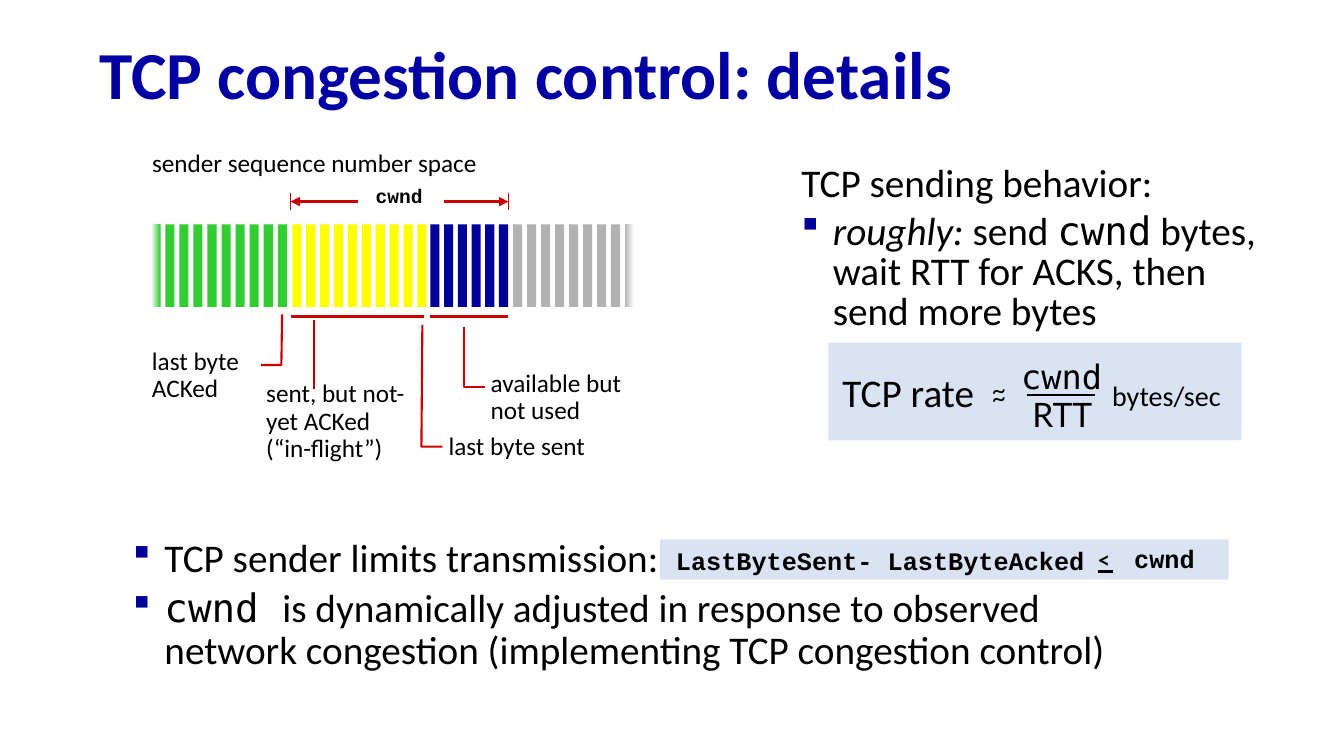
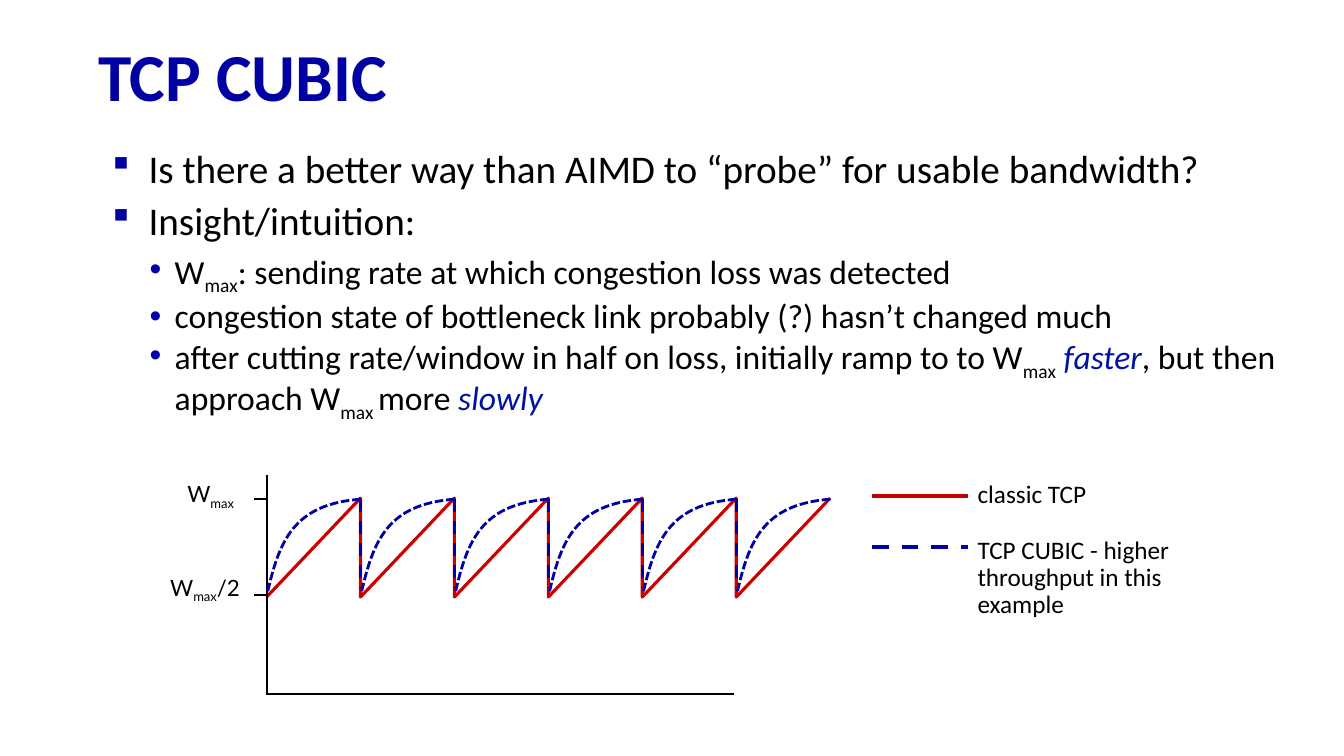
from dataclasses import dataclass, replace

from lxml.etree import SubElement
from pptx import Presentation
from pptx.dml.color import RGBColor
from pptx.enum.dml import MSO_LINE
from pptx.enum.shapes import MSO_CONNECTOR, MSO_SHAPE
from pptx.enum.text import MSO_ANCHOR, PP_ALIGN
from pptx.oxml.ns import qn
from pptx.util import Pt

BLACK = RGBColor(0x00, 0x00, 0x00)
WHITE = RGBColor(0xFF, 0xFF, 0xFF)
NAVY = RGBColor(0x00, 0x00, 0xA3)
DEEP_BLUE = RGBColor(0x00, 0x00, 0x99)
DOT_BLUE = RGBColor(0x00, 0x00, 0xA8)
EMPHASIS = RGBColor(0x00, 0x13, 0xA3)
PALE_BLUE = RGBColor(0xDA, 0xE3, 0xF3)
RED = RGBColor(0xCC, 0x00, 0x00)
DARK_RED = RGBColor(0xC0, 0x00, 0x00)
GREEN = RGBColor(0x33, 0xCC, 0x33)
YELLOW = RGBColor(0xFF, 0xFF, 0x00)
GRAY = RGBColor(0xB2, 0xB2, 0xB2)


@dataclass(frozen=True)
class Look:
    size: float = 18
    font: str = "Calibri"
    color: RGBColor = BLACK
    bold: bool = False
    italic: bool = False
    subscript: bool = False


@dataclass(frozen=True)
class Bullet:
    char: str
    font: str
    margin: float
    hang: float
    color: RGBColor


@dataclass(frozen=True)
class Item:
    """A paragraph; each run is a string or a (string, look changes) pair."""
    runs: tuple
    bullet: Bullet = None
    before: float = 0
    size: float = 28


TITLE = Look(48, color=NAVY, bold=True)
LABEL = Look()
BODY = Look(28)
CODE = Look(font="Courier New", bold=True)
AXIS = Look(16, "Lato")

MONO = {"font": "DejaVu Sans Mono"}
SUB = {"subscript": True}
STRESS = {"italic": True, "color": EMPHASIS}

# Wingdings draws the section sign as a small square.
SQUARE = Bullet("§", "Wingdings", 22.5, 22.5, DEEP_BLUE)
WIDE_SQUARE = Bullet("§", "Wingdings", 36, 26, NAVY)
DOT = Bullet("•", "Arial", 54.7, 18, DOT_BLUE)


class Deck:
    def __init__(self):
        self.prs = Presentation()
        self.prs.slide_width, self.prs.slide_height = Pt(960), Pt(540)
        self.shapes = None

    def new_slide(self, title, left, top):
        self.shapes = self.prs.slides.add_slide(self.prs.slide_layouts[6]).shapes
        self.text((left, top, 897, 70.5), title, look=TITLE, spacing=0.9,
                  anchor=MSO_ANCHOR.MIDDLE)

    def text(self, box, *paragraphs, look=LABEL, spacing=1.0, wrap=True,
             align=PP_ALIGN.LEFT, anchor=MSO_ANCHOR.TOP):
        frame = self.shapes.add_textbox(*map(Pt, box)).text_frame
        frame.word_wrap = wrap
        frame.vertical_anchor = anchor
        for index, content in enumerate(paragraphs):
            paragraph = frame.add_paragraph() if index else frame.paragraphs[0]
            paragraph.alignment = align
            paragraph.line_spacing = spacing
            if isinstance(content, str):
                content = Item((content,), size=look.size)
            paragraph.space_before = Pt(content.before)
            if content.bullet:
                self.add_bullet(paragraph, content.bullet)
            base = replace(look, size=content.size)
            for part in content.runs:
                words, changes = (part, {}) if isinstance(part, str) else part
                run = paragraph.add_run()
                run.text = words
                self.format_run(run, replace(base, **changes))

    def centred(self, box, words, look, spacing=1.0, wrap=False):
        self.text(box, words, look=look, spacing=spacing, wrap=wrap,
                  align=PP_ALIGN.CENTER)

    @staticmethod
    def format_run(run, look):
        font = run.font
        font.size, font.name = Pt(look.size), look.font
        font.bold, font.italic = look.bold, look.italic
        font.color.rgb = look.color
        if look.subscript:
            run._r.get_or_add_rPr().set("baseline", "-25000")

    @staticmethod
    def add_bullet(paragraph, bullet):
        props = paragraph._p.get_or_add_pPr()
        props.set("marL", str(Pt(bullet.margin)))
        props.set("indent", str(-Pt(bullet.hang)))
        color = SubElement(props, qn("a:buClr"))
        SubElement(color, qn("a:srgbClr")).set("val", str(bullet.color))
        SubElement(props, qn("a:buFont")).set("typeface", bullet.font)
        SubElement(props, qn("a:buChar")).set("char", bullet.char)

    def bar(self, box, *colors):
        """A borderless rectangle; two colours fade from left to right."""
        rect = self.shapes.add_shape(MSO_SHAPE.RECTANGLE, *map(Pt, box))
        rect.shadow.inherit = False
        rect.line.fill.background()
        if len(colors) == 1:
            rect.fill.solid()
            rect.fill.fore_color.rgb = colors[0]
            return
        rect.fill.gradient()
        rect.fill.gradient_angle = 0
        for stop, color in zip(rect.fill.gradient_stops, colors):
            stop.color.rgb = color

    @staticmethod
    def style_line(line, color, width, dash):
        line.color.rgb = color
        line.width = Pt(width)
        if dash:
            line.dash_style = dash

    def line(self, start, end, color=BLACK, width=1.5, dash=None, arrow=False):
        connector = self.shapes.add_connector(
            MSO_CONNECTOR.STRAIGHT, *map(Pt, (*start, *end)))
        self.style_line(connector.line, color, width, dash)
        if arrow:
            head = SubElement(connector.line._get_or_add_ln(), qn("a:tailEnd"))
            head.set("type", "triangle")
        SubElement(connector._element.spPr, qn("a:effectLst"))

    def polyline(self, points, color=RED, width=1.5, dash=None):
        first, *rest = [(Pt(x), Pt(y)) for x, y in points]
        builder = self.shapes.build_freeform(*first)
        builder.add_line_segments(rest, close=False)
        outline = builder.convert_to_shape()
        outline.shadow.inherit = False
        outline.fill.background()
        self.style_line(outline.line, color, width, dash)
        return outline

    def curve(self, points, color, width, dash):
        """One cubic segment: start, two control points inside its box, end."""
        outline = self.polyline(points, color, width, dash)
        segments = list(outline._element.iter(qn("a:lnTo")))
        cubic = SubElement(segments[0].getparent(), qn("a:cubicBezTo"))
        for segment in segments:
            cubic.append(segment[0])
            segment.getparent().remove(segment)


def sequence_space(deck):
    deck.bar((103.7, 230.4, 354, 8.6), WHITE)
    groups = ((GREEN, 10, 108, 10.05), (YELLOW, 10, 208.8, 9.93),
              (DEEP_BLUE, 6, 307.4, 9.8), (GRAY, 9, 366.5, 9.99))
    for color, count, start, pitch in groups:
        for index in range(count):
            fade = (color,)
            if color == GREEN and index == 0:
                fade = (WHITE, color)
            elif color == GRAY and index == count - 1:
                fade = (color, WHITE)
            deck.bar((start + pitch * index, 160.3, 6.5, 59), *fade)
    deck.bar((112.3, 149.8, 354, 8.6), WHITE)

    deck.text((101.5, 101.5, 253.5, 29), "sender sequence number space", wrap=False)
    deck.centred((253.5, 129.5, 63.4, 27), "cwnd", replace(CODE, size=14), 0.9)
    for inner, edge in ((317, 363.2), (255.5, 207.5)):
        deck.line((inner, 144), (edge, 144), RED, 2.25, arrow=True)
        deck.line((edge, 138), (edge, 150), RED, 0.75)
    for left, right in ((208, 303), (307.5, 363)):
        deck.line((left, 226), (right, 226), RED, 2.25)

    deck.polyline([(201.5, 224.5), (201, 260.7), (186.5, 260.7)])
    deck.polyline([(301.7, 232), (301, 319), (316, 319)])
    deck.polyline([(331.3, 233.3), (331.3, 276.5), (346.3, 276.5)])
    deck.line((224.6, 228.3), (224.6, 278), DARK_RED)
    for box, words in (
            ((101.5, 245.5, 78, 47), ("last byte", "ACKed")),
            ((183.1, 268.7, 131, 66), ("sent, but not-yet ACKed", "(“in-flight”)")),
            ((313.3, 306, 126, 26.5), ("last byte sent",)),
            ((343.4, 261.3, 126, 47), ("available but not used",))):
        deck.text(box, *words, spacing=0.9)


def rate_formula(deck):
    deck.bar((591.8, 244.8, 295.2, 69.8), PALE_BLUE)
    deck.centred((594, 259.2, 109.5, 41), "TCP rate", BODY)
    for top in (263.5, 269.3):
        deck.centred((676.8, top, 73.4, 29), "~", Look(font="Lato"), wrap=True)
    deck.centred((722, 250.5, 72.7, 37), "cwnd", Look(24, **MONO))
    deck.centred((730, 278, 57.6, 37), "RTT", Look(24, "Lato"))
    deck.line((733.7, 282.4), (782, 282.4))
    deck.centred((786.4, 267, 93.6, 32), "bytes/sec", Look(20))


def details_slide(deck):
    deck.new_slide("TCP congestion control: details", 64, 20)
    sequence_space(deck)
    deck.text(
        (565.3, 114.5, 361.5, 193),
        Item(("TCP sending behavior:",)),
        Item((("roughly:", {"italic": True}), " send ", ("cwnd", MONO),
              " bytes, wait RTT for ACKS, then send more bytes"), SQUARE, 5.6),
        look=BODY, spacing=0.85)
    rate_formula(deck)

    deck.bar((471.6, 385.3, 406.1, 28.8), PALE_BLUE)
    deck.text(
        (87.9, 381, 758, 133),
        Item(("TCP sender limits transmission:",), SQUARE),
        Item((("cwnd ", MONO), "is dynamically adjusted in response to observed "
              "network congestion (implementing TCP congestion control)"),
             SQUARE, 5.6),
        look=BODY, spacing=0.9)
    deck.text((475.8, 389.5, 346, 26.5), "LastByteSent- LastByteAcked",
              look=CODE, spacing=0.85)
    deck.centred((774.7, 386.5, 27.4, 26.5), "<", replace(AXIS, bold=True))
    deck.line((784, 408.2), (795, 408.2))
    deck.centred((803, 384.5, 57.6, 29), "cwnd", CODE)


def window_plot(deck):
    origin, pitch, cycles = 190.4, 67.1, 6
    high, low = 355.8, 426.5
    sawtooth = [(origin, low)]
    for cycle in range(1, cycles + 1):
        x = origin + pitch * cycle
        sawtooth += [(x, high), (x, low)]
    deck.polyline(sawtooth[:-1], RED, 2.25)

    deck.line((190, 495.5), (524, 495.5))
    deck.line((190.5, 339), (190.5, 496))
    for tick in (356.4, 424.8):
        deck.line((181.5, tick), (190, tick))
    for box, runs in (((126.7, 339.4, 49, 26.5), ("W", ("max", SUB))),
                      ((114.5, 406.3, 64, 26.5), ("W", ("max", SUB), "/2"))):
        deck.text(box, Item(runs, size=AXIS.size), look=AXIS, wrap=False)

    top = high + 0.8
    for cycle in range(1, cycles + 1):
        x = origin + pitch * cycle
        deck.curve([(x, top), (x - 48, top + 3.6), (x - 58, top + 30),
                    (x - 66.5, top + 67)], NAVY, 2, MSO_LINE.SQUARE_DOT)
        if cycle < cycles:
            deck.line((x, top), (x, top + 63), NAVY, 2.25, MSO_LINE.DASH)


def cubic_slide(deck):
    deck.new_slide("TCP CUBIC", 63, 21.6)
    deck.text(
        (63, 103, 879, 210),
        Item(("Is there a better way than AIMD to “probe” for usable bandwidth?",),
             WIDE_SQUARE),
        Item(("Insight/intuition:",), WIDE_SQUARE, 7.3),
        Item(("W", ("max", SUB),
              ": sending rate at which congestion loss was detected"), DOT, 5, 24),
        Item(("congestion state of bottleneck link probably (?) hasn’t changed much",),
             DOT, 5, 24),
        Item(("after cutting rate/window in half on loss, initially ramp to to W",
              ("max", SUB), " ", ("faster", STRESS), ", but then approach W",
              ("max ", SUB), "more ", ("slowly", STRESS)), DOT, 0.8, 24),
        look=BODY, spacing=0.9)
    window_plot(deck)

    deck.line((623, 354.3), (691.2, 354.3), DARK_RED, 3)
    deck.line((623, 391), (691.2, 391), NAVY, 3, MSO_LINE.DASH)
    deck.text((691.2, 338, 93, 29), "classic TCP", wrap=False)
    deck.text((691.2, 380.3, 172, 66),
              "TCP CUBIC - higher throughput in this example", spacing=0.9)


def main():
    deck = Deck()
    details_slide(deck)
    cubic_slide(deck)
    deck.prs.save("out.pptx")


if __name__ == "__main__":
    main()
